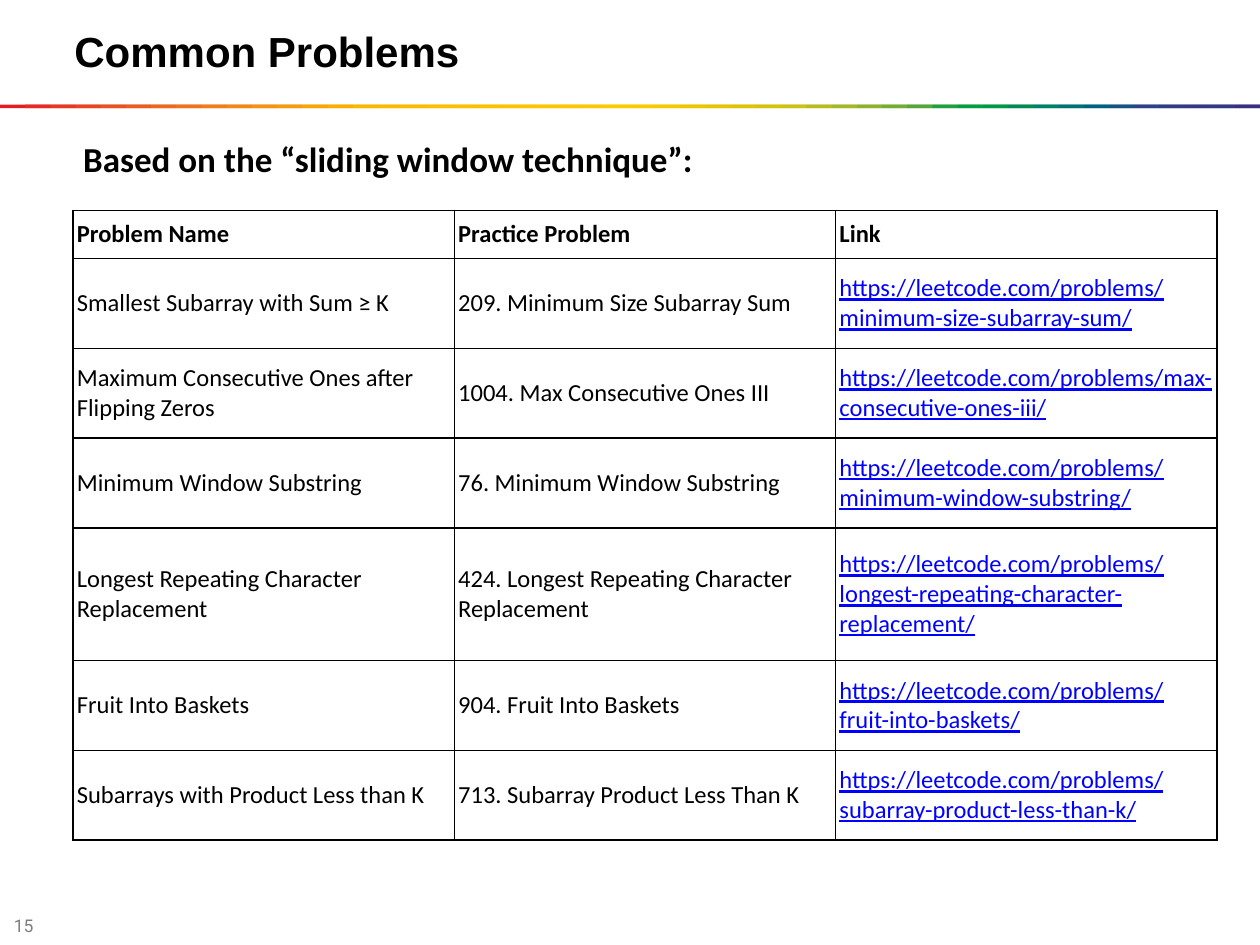
from lxml.etree import SubElement
from pptx import Presentation
from pptx.dml.color import RGBColor
from pptx.enum.shapes import MSO_SHAPE as SHAPE
from pptx.enum.text import MSO_ANCHOR as ANCHOR, MSO_AUTO_SIZE as AUTO, PP_ALIGN as ALIGN
from pptx.oxml.ns import qn
from pptx.util import Inches, Pt

COLORS = {
    "text": "000000",
    "link": "0000FF",
    "number": "7E7E7E",
}
RAINBOW = dict(enumerate("""
    E21E23 E32C23 E43923 E74622 E85121 EA5D20 EB691F ED741D EE7D1A F08717
    F39213 F49C0E F6A607 F8AF01 FAB900 FABA00 FABC00 FBBE00 FBC000 FBC200
    FCC400 FCC500 FCC600 FDC800 FDCA00 FACA00 F3C900 EBC700 E3C501 DCC509
    D4C30D CCC117 B8BB20 A2B829 8BB12F 70AC36 51A73A 1DA140 009D43 009746
    008B56 008068 007175 00627E 175284 2D4285 303D85 333A85 353885 393085
""".split()))

TITLE = {"name": "Arial", "size": Pt(24), "bold": True}
SUBTITLE = {"name": "Calibri", "size": Pt(20), "bold": True}
NUMBER = {"name": "Roboto", "size": Pt(10)}
HEADER = {"name": "Calibri", "size": Pt(14), "bold": True}
BODY = {"name": "Calibri", "size": Pt(14), "bold": False}
LINK = BODY | {"underline": True}

ROW_HEIGHTS = [0.38, 0.71, 0.71, 0.71, 1.05, 0.71, 0.71]
HEADINGS = ["Problem Name", "Practice Problem", "Link"]
URL = "https://leetcode.com/problems/"
PROBLEMS = [
    ("Smallest Subarray with Sum ≥ K", "209. Minimum Size Subarray Sum",
     "minimum-size-subarray-sum/"),
    ("Maximum Consecutive Ones after Flipping Zeros", "1004. Max Consecutive Ones III",
     "max-consecutive-ones-iii/"),
    ("Minimum Window Substring", "76. Minimum Window Substring",
     "minimum-window-substring/"),
    ("Longest Repeating Character Replacement",
     "424. Longest Repeating Character Replacement",
     "longest-repeating-character-replacement/"),
    ("Fruit Into Baskets", "904. Fruit Into Baskets", "fruit-into-baskets/"),
    ("Subarrays with Product Less than K", "713. Subarray Product Less Than K",
     "subarray-product-less-than-k/"),
]


def write(tf, text, fmt, color="text"):
    """Write one formatted, left-aligned run into a text frame."""
    p = tf.paragraphs[0]
    p.alignment = ALIGN.LEFT
    r = p.add_run()
    r.text = text
    for name, value in fmt.items():
        setattr(r.font, name, value)
    r.font.color.rgb = RGBColor.from_string(COLORS[color])


def fill_box(sp, box, text, fmt, color="text", indent=0):
    """Place a text shape in its box and write its text."""
    sp.left, sp.top, sp.width, sp.height = map(Inches, box)
    tf = sp.text_frame
    layout = {"word_wrap": True, "auto_size": AUTO.NONE, "vertical_anchor": ANCHOR.TOP,
              "margin_left": Inches(indent), "margin_top": Inches(0.01),
              "margin_right": 0, "margin_bottom": 0}
    for name, value in layout.items():
        setattr(tf, name, value)
    write(tf, text, fmt, color)


def add_text(s, box, *args, **kwargs):
    """Add a text box with one line of text."""
    fill_box(s.shapes.add_textbox(*map(Inches, box)), box, *args, **kwargs)


def add_rainbow(s, box):
    """Draw the rainbow rule as overlapping strips across the box."""
    left, top, width, height = box
    step = width / len(RAINBOW)
    for i, color in RAINBOW.items():
        strip = min(2 * step, width - i * step)
        sp = s.shapes.add_shape(SHAPE.RECTANGLE, Inches(left + i * step), Inches(top),
                                Inches(strip), Inches(height))
        sp.shadow.inherit = False
        sp.fill.solid()
        sp.fill.fore_color.rgb = RGBColor.from_string(color)
        sp.line.fill.background()


def add_borders(cell):
    """Give a cell thin borders on all four sides."""
    tc_pr = cell._tc.get_or_add_tcPr()
    for side in ("lnL", "lnR", "lnT", "lnB"):
        ln = SubElement(tc_pr, qn(f"a:{side}"), w=str(Pt(1)))
        fill = SubElement(ln, qn("a:solidFill"))
        SubElement(fill, qn("a:srgbClr"), val=COLORS["text"])


def add_problems(s, box):
    """Add the table of problems with their links."""
    left, top, width, height = box
    rows = [HEADINGS] + [(name, task, URL + slug) for name, task, slug in PROBLEMS]
    table = s.shapes.add_table(len(rows), len(HEADINGS), *map(Inches, box)).table
    for col in table.columns:
        col.width = Inches(width / len(HEADINGS))
    layout = {"vertical_anchor": ANCHOR.MIDDLE,
              "margin_left": Inches(0.03), "margin_right": Inches(0.03),
              "margin_top": Inches(0.01), "margin_bottom": Inches(0.01)}
    for i, row in enumerate(rows):
        table.rows[i].height = Inches(height * ROW_HEIGHTS[i] / sum(ROW_HEIGHTS))
        for j, text in enumerate(row):
            cell = table.cell(i, j)
            for name, value in layout.items():
                setattr(cell, name, value)
            add_borders(cell)
            cell.fill.background()
            is_link = i > 0 and j == 2
            fmt = HEADER if i == 0 else LINK if is_link else BODY
            write(cell.text_frame, text, fmt, "link" if is_link else "text")


def main():
    """Build the slide and save it."""
    prs = Presentation()
    prs.slide_width, prs.slide_height = Inches(10), Inches(7.5)
    s = prs.slides.add_slide(prs.slide_layouts[5])
    add_rainbow(s, (0, 0.83, 10, 0.03))
    fill_box(s.shapes.title, (0.59, 0.19, 8.07, 0.42), "Common Problems", TITLE)
    add_text(s, (0.59, 1.08, 8.36, 0.35), "Based on the “sliding window technique”:",
             SUBTITLE, indent=0.07)
    add_problems(s, (0.58, 1.67, 9.08, 5))
    add_text(s, (0.07, 7.25, 0.24, 0.18), "15", NUMBER, "number", indent=0.04)
    prs.save("out.pptx")


if __name__ == "__main__":
    main()
